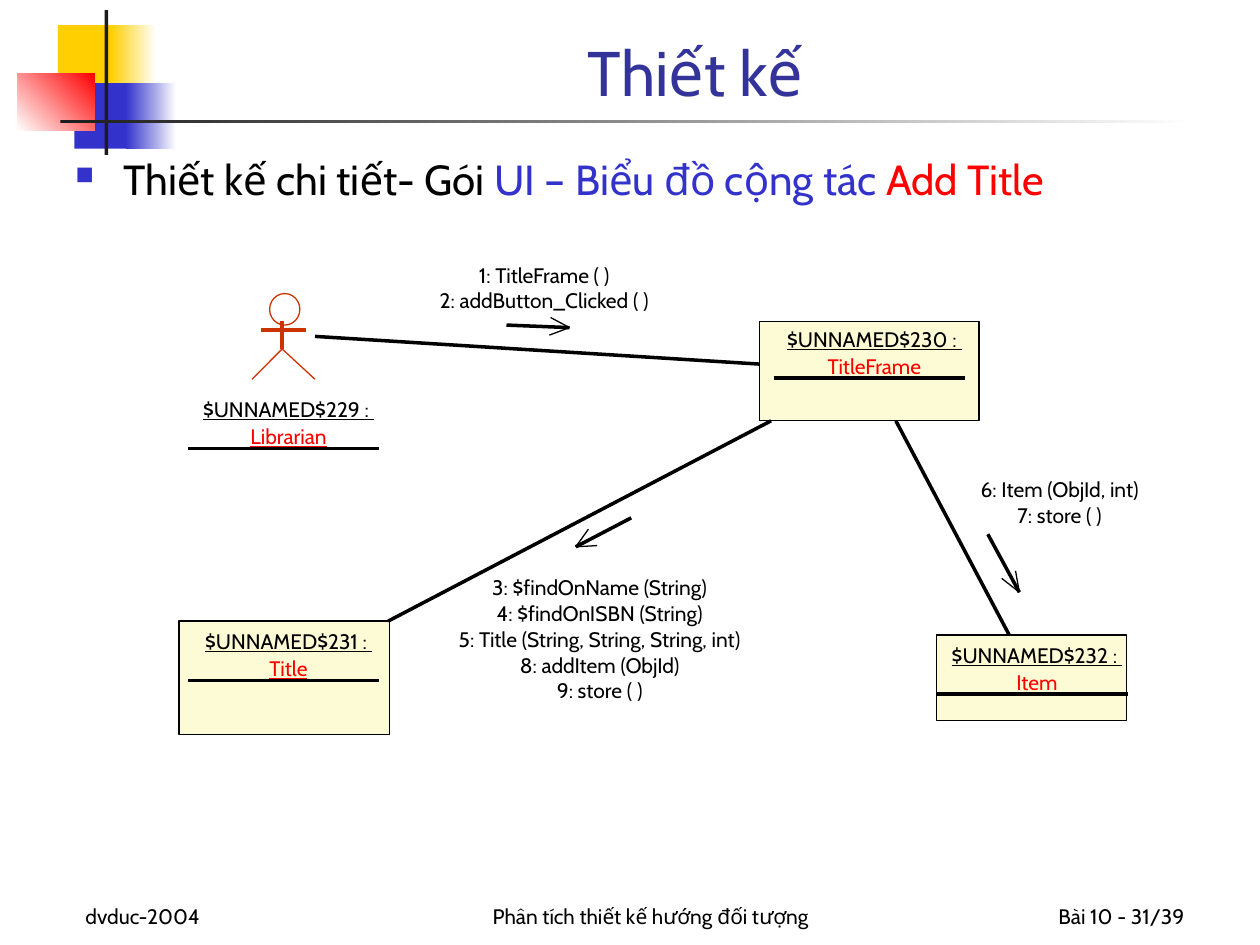
from dataclasses import dataclass
from typing import NamedTuple, Optional

import lxml.etree
import pptx
import pptx.dml.color
import pptx.enum.shapes
import pptx.enum.text
import pptx.oxml.ns
import pptx.slide
import pptx.util

COLUMNS, ROWS = 100, 75
WIDTH, HEIGHT = pptx.util.Inches(10), pptx.util.Inches(7.5)
ALIGN = pptx.enum.text.PP_ALIGN
ANCHOR = pptx.enum.text.MSO_ANCHOR
SHAPE = pptx.enum.shapes.MSO_SHAPE


@dataclass(frozen=True)
class Theme:
    font: str = "Cabin"
    title_size: float = 36
    body_size: float = 24
    label_size: float = 12
    title: str = "333399"
    text: str = "000000"
    accent: str = "3333CC"
    highlight: str = "FF0000"
    yellow: str = "FFCF01"
    white: str = "FFFFFF"
    bar: str = "1C1C1C"
    box: str = "FDFBD5"
    actor: str = "CC3300"


THEME = Theme()


class Area(NamedTuple):
    left: float
    top: float
    width: float
    height: float


class Point(NamedTuple):
    x: float
    y: float


class Block(NamedTuple):
    area: Area
    start: str
    end: Optional[str] = None
    angle: float = 0


class UmlObject(NamedTuple):
    center: float
    top: float
    name: str
    kind: str
    kind_width: float
    box: Optional[Area] = None


class Link(NamedTuple):
    start: Point
    end: Point
    arrow_start: Point
    arrow_end: Point
    barbs: tuple[Point, Point]
    center: float
    top: float
    messages: tuple[tuple[str, float], ...]


class Footer(NamedTuple):
    area: Area
    text: str
    align: ALIGN


NAME_WIDTH, LABEL_HEIGHT, NAME_PITCH, MESSAGE_PITCH = 14.6, 2, 2.15, 2.05

BLOCKS = [
    Block(Area(4.6, 2, 4.8, 5.2), THEME.yellow),
    Block(Area(8.8, 2, 3.6, 5.2), THEME.yellow, THEME.white),
    Block(Area(5.9, 6.6, 4.6, 5.2), THEME.accent),
    Block(Area(10, 6.6, 4, 5.2), THEME.accent, THEME.white),
    Block(Area(1.4, 5.8, 6.1, 4.6), THEME.white, THEME.highlight, 45),
    Block(Area(8.3, 0.8, 0.3, 11.5), THEME.bar),
    Block(Area(4.8, 9.5, 90, 0.3), THEME.bar, THEME.white),
]
OBJECTS = [
    UmlObject(22.9, 31.5, "$UNNAMED$229 : ", "Librarian", 7),
    UmlObject(69.4, 25.9, "$UNNAMED$230 : ", "TitleFrame", 8.3, Area(60.3, 25.5, 17.4, 7.9)),
    UmlObject(22.9, 49.9, "$UNNAMED$231 : ", "Title", 3.3, Area(14.2, 49.3, 16.7, 9)),
    UmlObject(82.3, 51, "$UNNAMED$232 : ", "Item", 3.7, Area(74.3, 50.4, 15.1, 6.8)),
]
LINKS = [
    Link(Point(25, 26.7), Point(60.3, 28.9), Point(40.2, 25.8), Point(45.2, 26),
         (Point(43.7, 25.2), Point(43.6, 26.6)), 43.2, 20.8,
         (("1: TitleFrame ( )", 12), ("2: addButton_Clicked ( )", 18.4))),
    Link(Point(61.2, 33.4), Point(30.8, 49.3), Point(50.1, 41.1), Point(45.7, 43.4),
         (Point(47.4, 43.3), Point(46.7, 42)), 47.6, 45.6,
         (("3: $findOnName (String)", 19), ("4: $findOnISBN (String)", 18.1),
          ("5: Title (String, String, String, int)", 25.4),
          ("8: addItem (ObjId)", 14.3), ("9: store ( )", 7.7))),
    Link(Point(71.1, 33.4), Point(80.1, 50.4), Point(78.4, 42.4), Point(80.9, 47),
         (Point(80.6, 45.3), Point(79.5, 45.9)), 84.1, 37.8,
         (("6: Item (ObjId, int)", 14.2), ("7: store ( )", 7.7))),
]
FOOTERS = [
    Footer(Area(5.8, 69.2, 20.8, 5), "dvduc-2004", ALIGN.LEFT),
    Footer(Area(32.5, 69.2, 38.3, 5), "Phân tích thiết kế hướng đối tượng", ALIGN.CENTER),
    Footer(Area(74.2, 69.2, 20.8, 5), "Bài 10 - 31/39", ALIGN.RIGHT),
]


def column(count: float) -> int:
    return round(WIDTH * count / COLUMNS)


def row(count: float) -> int:
    return round(HEIGHT * count / ROWS)


def place(area: Area) -> tuple[int, int, int, int]:
    return column(area.left), row(area.top), column(area.width), row(area.height)


def rgb(color: str) -> pptx.dml.color.RGBColor:
    return pptx.dml.color.RGBColor.from_string(color)


def style(paragraph, size: float, color: str, align: ALIGN, underline: bool = False) -> None:
    paragraph.alignment = align
    font = paragraph.font
    font.name, font.size, font.color.rgb = THEME.font, pptx.util.Pt(size), rgb(color)
    if underline:
        font.underline = True


def draw_block(slide: pptx.slide.Slide, block: Block) -> None:
    shape = slide.shapes.add_shape(SHAPE.RECTANGLE, *place(block.area))
    shape.shadow.inherit = False
    shape.line.fill.background()
    if block.end is None:
        shape.fill.solid()
        shape.fill.fore_color.rgb = rgb(block.start)
        return
    shape.fill.gradient()
    shape.fill.gradient_angle = block.angle
    for stop, color in zip(shape.fill.gradient_stops, (block.start, block.end)):
        stop.color.rgb = rgb(color)


def outline(shape, color: str, fill: Optional[str] = None) -> None:
    shape.shadow.inherit = False
    shape.line.color.rgb, shape.line.width = rgb(color), 0
    if fill is None:
        shape.fill.background()
    else:
        shape.fill.solid()
        shape.fill.fore_color.rgb = rgb(fill)


def draw_line(slide: pptx.slide.Slide, start: Point, end: Point,
              color: str = THEME.text, width: float = 0) -> None:
    line = slide.shapes.add_connector(
        pptx.enum.shapes.MSO_CONNECTOR.STRAIGHT,
        column(start.x), row(start.y), column(end.x), row(end.y))
    line.line.color.rgb, line.line.width = rgb(color), pptx.util.Pt(width)
    lxml.etree.SubElement(line._element.spPr, pptx.oxml.ns.qn("a:effectLst"))


def draw_label(slide: pptx.slide.Slide, center: float, top: float, width: float,
               text: str, color: str = THEME.text, underline: bool = False) -> None:
    area = Area(center - width / 2, top, width, LABEL_HEIGHT)
    frame = slide.shapes.add_textbox(*place(area)).text_frame
    frame.margin_left = frame.margin_right = frame.margin_top = frame.margin_bottom = 0
    frame.word_wrap = False
    frame.auto_size = pptx.enum.text.MSO_AUTO_SIZE.SHAPE_TO_FIT_TEXT
    frame.text = text
    style(frame.paragraphs[0], THEME.label_size, color, ALIGN.CENTER, underline)


def draw_actor(slide: pptx.slide.Slide) -> None:
    head = slide.shapes.add_shape(SHAPE.OVAL, *place(Area(21.4, 23.3, 2.4, 2.5)))
    outline(head, THEME.actor)
    draw_line(slide, Point(22.4, 25.5), Point(22.4, 27.7), THEME.actor)
    draw_line(slide, Point(20.7, 26.2), Point(24.3, 26.2), THEME.actor)
    builder = slide.shapes.build_freeform(column(20), row(30.1))
    builder.add_line_segments(
        [(column(22.4), row(27.7)), (column(25), row(30.1))], close=False)
    outline(builder.convert_to_shape(), THEME.actor)


def draw_object(slide: pptx.slide.Slide, item: UmlObject) -> None:
    if item.box:
        box = slide.shapes.add_shape(SHAPE.RECTANGLE, *place(item.box))
        outline(box, THEME.text, THEME.box)
    draw_label(slide, item.center, item.top, NAME_WIDTH, item.name, underline=True)
    draw_label(slide, item.center, item.top + NAME_PITCH, item.kind_width,
               item.kind, THEME.highlight, True)
    rule = item.top + 4.1
    draw_line(slide, Point(item.center - 8, rule), Point(item.center + 7.2, rule))


def draw_link(slide: pptx.slide.Slide, link: Link) -> None:
    draw_line(slide, link.start, link.end)
    draw_line(slide, link.arrow_start, link.arrow_end)
    for barb in link.barbs:
        draw_line(slide, link.arrow_end, barb, width=0.75)
    for index, (text, width) in enumerate(link.messages):
        draw_label(slide, link.center, link.top + index * MESSAGE_PITCH, width, text)


def draw_footer(slide: pptx.slide.Slide, footer: Footer) -> None:
    frame = slide.shapes.add_textbox(*place(footer.area)).text_frame
    frame.word_wrap, frame.vertical_anchor = True, ANCHOR.BOTTOM
    frame.text = footer.text
    style(frame.paragraphs[0], THEME.label_size, THEME.text, footer.align)


def draw_title(slide: pptx.slide.Slide) -> None:
    title = slide.shapes.title
    title.left, title.top, title.width, title.height = place(Area(12.6, 0.8, 85.2, 8.4))
    frame = title.text_frame
    frame.text = "Thiết kế"
    frame.vertical_anchor = ANCHOR.BOTTOM
    frame.auto_size = pptx.enum.text.MSO_AUTO_SIZE.NONE
    style(frame.paragraphs[0], THEME.title_size, THEME.title, ALIGN.CENTER)


def draw_body(slide: pptx.slide.Slide) -> None:
    frame = slide.shapes.add_textbox(*place(Area(5, 11.7, 91.7, 59.2))).text_frame
    frame.word_wrap = True
    paragraph = frame.paragraphs[0]
    properties = paragraph._p.get_or_add_pPr()
    properties.set("marL", str(column(3.8)))
    properties.set("indent", str(-column(3.8)))
    qn, add = pptx.oxml.ns.qn, lxml.etree.SubElement
    add(add(properties, qn("a:buClr")), qn("a:srgbClr"), val=THEME.accent)
    add(properties, qn("a:buSzPct"), val="60000")
    add(properties, qn("a:buChar"), char="■")
    style(paragraph, THEME.body_size, THEME.text, ALIGN.LEFT)
    for text, color in (("Thiết kế chi tiết- Gói ", THEME.text),
                        ("UI – Biểu đồ cộng tác ", THEME.accent),
                        ("Add Title", THEME.highlight)):
        run = paragraph.add_run()
        run.text, run.font.color.rgb = text, rgb(color)


def main() -> None:
    presentation = pptx.Presentation()
    presentation.slide_width, presentation.slide_height = WIDTH, HEIGHT
    slide = presentation.slides.add_slide(presentation.slide_layouts.get_by_name("Title Only"))
    for block in BLOCKS:
        draw_block(slide, block)
    for footer in FOOTERS:
        draw_footer(slide, footer)
    draw_title(slide)
    draw_body(slide)
    draw_actor(slide)
    for item in OBJECTS:
        draw_object(slide, item)
    for link in LINKS:
        draw_link(slide, link)
    presentation.save("out.pptx")


if __name__ == "__main__":
    main()
